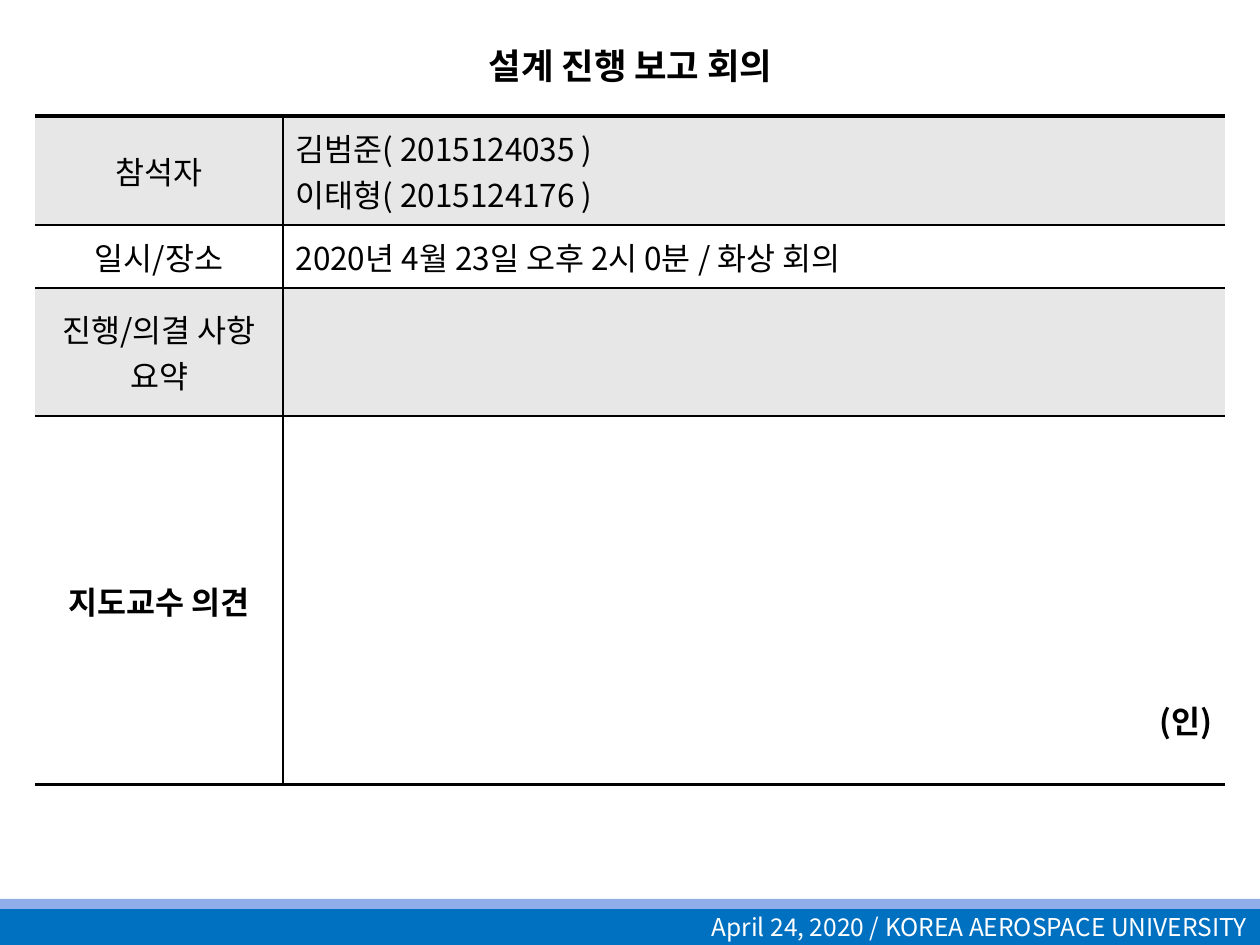
from pptx import Presentation
from pptx.dml.color import RGBColor
from pptx.enum.shapes import MSO_SHAPE
from pptx.enum.text import MSO_ANCHOR, PP_ALIGN
from pptx.oxml.ns import qn
from pptx.util import Pt
from lxml.etree import SubElement

TITLE = "설계 진행 보고 회의"
FOOTER = "April 24, 2020 / KOREA AEROSPACE UNIVERSITY"
MEETING = [
    {"label": "참석자", "detail": ["김범준( 2015124035 )", "이태형( 2015124176 )"], "height": 109},
    {"label": "일시/장소", "detail": ["2020년 4월 23일 오후 2시 0분 / 화상 회의"], "height": 63},
    {"label": "진행/의결 사항 요약", "detail": [], "height": 128},
    {"label": "지도교수 의견", "detail": ["(인)"], "height": 325, "bold": True,
     "align": PP_ALIGN.RIGHT, "margins": {"margin_top": 281, "margin_bottom": 50}},
]
COLUMNS = (248, 942)
TABLE_LEFT, TABLE_TOP = 35, 116
BARS = [
    {"box": (0, 908, 1260, 37), "fill": "footer", "text": FOOTER},
    {"box": (0, 899, 1260, 10), "fill": "strip", "text": ""},
]
THEME = {
    "font": "Noto Sans CJK KR",
    "ink": "000000", "light": "FFFFFF", "band": "E7E7E7",
    "footer": "0070C0", "strip": "8FADE9",
    "title_size": 25.2, "body_size": 18, "footer_size": 14,
    "thin": 1, "thick": 2,
}
PIXEL = 914400 // 126


def px(*lengths):
    return [round(length * PIXEL) for length in lengths]


def color(name):
    return RGBColor.from_string(THEME[name])


def write(frame, lines, size, ink="ink", bold=False, align=PP_ALIGN.LEFT):
    for index, line in enumerate(lines):
        paragraph = frame.add_paragraph() if index else frame.paragraphs[0]
        paragraph.alignment = align
        run = paragraph.add_run()
        run.text = line
        formats = {"name": THEME["font"], "size": Pt(THEME[size]), "bold": bold}
        for key, value in formats.items():
            setattr(run.font, key, value)
        run.font.color.rgb = color(ink)
        SubElement(run._r.get_or_add_rPr(), qn("a:ea"), typeface=THEME["font"])


def set_borders(cell, widths):
    properties = cell._tc.get_or_add_tcPr()
    for position, (side, width) in enumerate(widths.items()):
        line = SubElement(properties, qn(f"a:ln{side}"), w=str(Pt(width)))
        properties.insert(position, line)
        if width:
            fill = SubElement(line, qn("a:solidFill"))
            SubElement(fill, qn("a:srgbClr"), val=THEME["ink"])
        else:
            SubElement(line, qn("a:noFill"))


deck = Presentation()
deck.slide_width, deck.slide_height = px(1260, 945)
slide = deck.slides.add_slide(deck.slide_layouts[6])

for bar in BARS:
    band = slide.shapes.add_shape(MSO_SHAPE.RECTANGLE, *px(*bar["box"]))
    band.shadow.inherit = False
    band.fill.solid()
    band.fill.fore_color.rgb = color(bar["fill"])
    band.line.fill.background()
    if bar["text"]:
        band.text_frame.vertical_anchor = MSO_ANCHOR.MIDDLE
        write(band.text_frame, [bar["text"]], "footer_size", "light", align=PP_ALIGN.RIGHT)

heading = slide.shapes.add_textbox(*px(95, 27, 1071, 69)).text_frame
heading.word_wrap = True
heading.vertical_anchor = MSO_ANCHOR.MIDDLE
write(heading, [TITLE], "title_size", bold=True, align=PP_ALIGN.CENTER)
heading.paragraphs[0].runs[0]._r.get_or_add_rPr().set("cap", "small")

table_height = sum(entry["height"] for entry in MEETING)
minutes = slide.shapes.add_table(
    len(MEETING), len(COLUMNS), *px(TABLE_LEFT, TABLE_TOP, sum(COLUMNS), table_height)
).table
for column, width in zip(minutes.columns, px(*COLUMNS)):
    column.width = width

last = len(MEETING) - 1
for row, entry in enumerate(MEETING):
    minutes.rows[row].height = px(entry["height"])[0]
    contents = [
        ([entry["label"]], PP_ALIGN.CENTER, {}),
        (entry["detail"], entry.get("align", PP_ALIGN.LEFT), entry.get("margins", {})),
    ]
    for col, (lines, align, margins) in enumerate(contents):
        cell = minutes.cell(row, col)
        cell.vertical_anchor = MSO_ANCHOR.MIDDLE
        for key, value in margins.items():
            setattr(cell, key, px(value)[0])
        cell.fill.solid()
        cell.fill.fore_color.rgb = color("light" if row % 2 else "band")
        write(cell.text_frame, lines, "body_size", bold=entry.get("bold", False), align=align)
        set_borders(cell, {
            "L": THEME["thin"] if col else 0,
            "R": 0 if col else THEME["thin"],
            "T": THEME["thin" if row else "thick"],
            "B": THEME["thick" if row == last else "thin"],
        })

deck.save("out.pptx")
